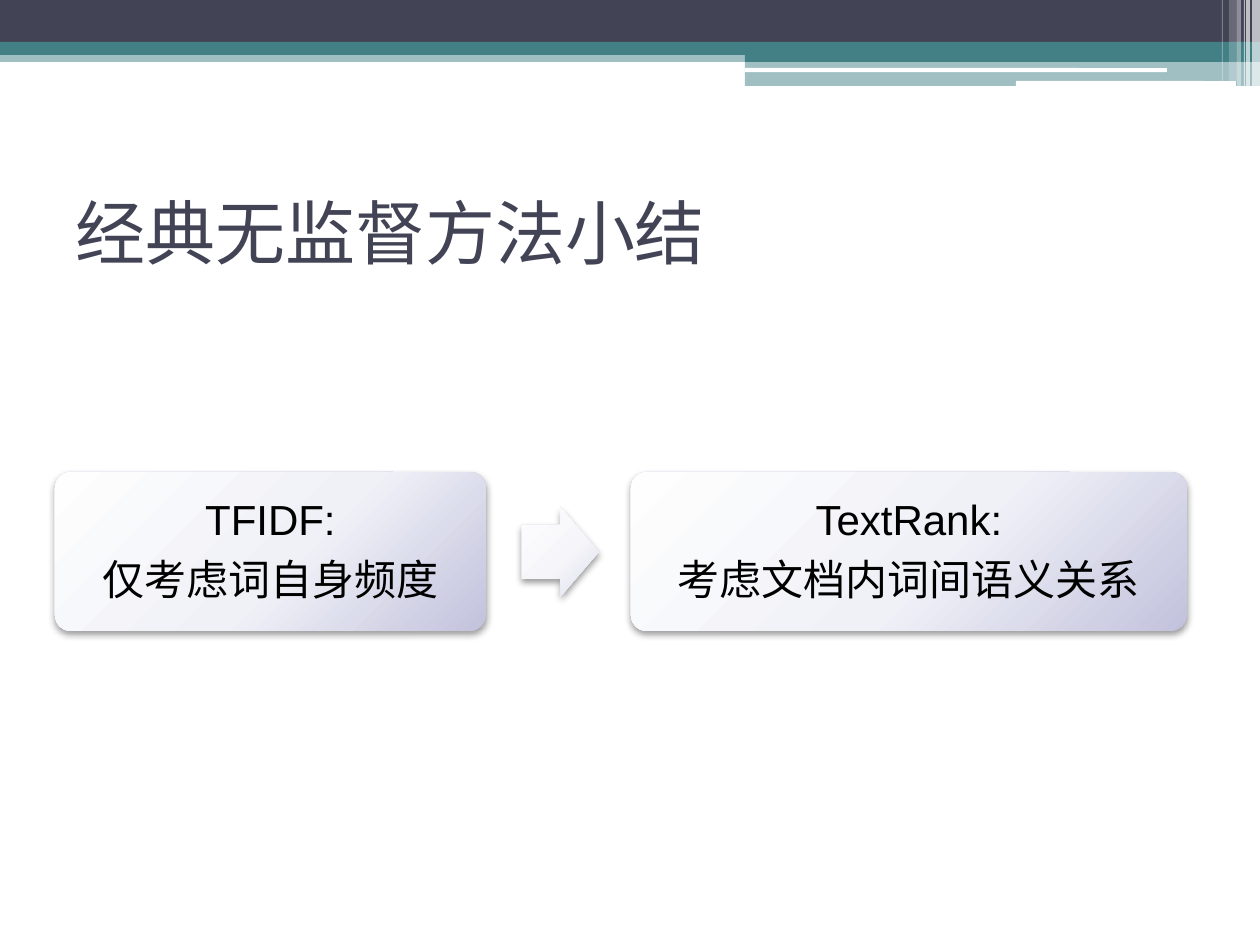
import lxml.etree
import pptx
import pptx.dml.color
import pptx.enum.shapes
import pptx.enum.text
import pptx.oxml
import pptx.oxml.ns
import pptx.util

EMU_PER_PX = 914400 / 126
NAMESPACE = 'xmlns:a="http://schemas.openxmlformats.org/drawingml/2006/main"'
SHAPES = pptx.enum.shapes.MSO_SHAPE
ALIGN = pptx.enum.text.PP_ALIGN
MIDDLE = pptx.enum.text.MSO_ANCHOR.MIDDLE

NAVY, TEAL, WHITE, BLACK = "424456", "438086", "FFFFFF", "000000"
BOX_GRADIENT = ((0, "FEFEFE"), (55, "F0F1F7"), (100, "C2C2DD"))
ARROW_GRADIENT = ((0, "FEFEFF"), (55, "F6F6FA"), (100, "DDDDEB"))


def px(length):
    return pptx.util.Emu(round(length * EMU_PER_PX))


def color(value):
    return pptx.dml.color.RGBColor.from_string(value)


def format_paragraph(paragraph, text, size, font, font_color, align):
    paragraph.alignment = align
    run = paragraph.add_run()
    run.text = text
    run.font.size = pptx.util.Pt(size)
    run.font.name = font
    run.font.color.rgb = color(font_color)


def set_space_after_percent(paragraph, percent):
    """Set the space after as a share of the text size."""
    paragraph.space_after = pptx.util.Pt(0)
    spacing = paragraph._p.pPr.find(pptx.oxml.ns.qn("a:spcAft"))
    spacing.clear()
    share = lxml.etree.SubElement(spacing, pptx.oxml.ns.qn("a:spcPct"))
    share.set("val", str(percent * 1000))


class SlideBuilder:
    title_font = "Karla"
    body_font = "Arial"

    def __init__(self, presentation):
        self.slide = presentation.slides.add_slide(presentation.slide_layouts[5])

    def title(self, text, left, top, width, height):
        shape = self.slide.shapes.title
        shape.left, shape.top = px(left), px(top)
        shape.width, shape.height = px(width), px(height)
        shape.text_frame.vertical_anchor = MIDDLE
        format_paragraph(shape.text_frame.paragraphs[0], text, size=40,
                         font=self.title_font, font_color=NAVY, align=ALIGN.LEFT)

    def shape(self, kind, left, top, width, height, fill=WHITE, opacity=100):
        shape = self.slide.shapes.add_shape(kind, px(left), px(top), px(width), px(height))
        shape.shadow.inherit = False
        shape.line.fill.background()
        shape.fill.solid()
        shape.fill.fore_color.rgb = color(fill)
        if opacity < 100:
            fill_color = shape._element.spPr.find(".//" + pptx.oxml.ns.qn("a:srgbClr"))
            alpha = lxml.etree.SubElement(fill_color, pptx.oxml.ns.qn("a:alpha"))
            alpha.set("val", str(opacity * 1000))
        return shape

    def raised_shape(self, kind, left, top, width, height, gradient, adjustments):
        """Add a shape with a radial gradient and a soft shadow below it."""
        shape = self.shape(kind, left, top, width, height)
        for index, value in enumerate(adjustments):
            shape.adjustments[index] = value
        stops = "".join(
            f'<a:gs pos="{position * 1000}"><a:srgbClr val="{value}"/></a:gs>'
            for position, value in gradient)
        gradient_fill = pptx.oxml.parse_xml(
            f'<a:gradFill {NAMESPACE} rotWithShape="1"><a:gsLst>{stops}</a:gsLst>'
            '<a:path path="circle"><a:fillToRect l="-40000" t="-90000" r="140000" b="190000"/>'
            '</a:path></a:gradFill>')
        shadow = pptx.oxml.parse_xml(
            f'<a:outerShdw {NAMESPACE} blurRad="52070" dist="25400" dir="5400000" '
            f'rotWithShape="0"><a:srgbClr val="{BLACK}"><a:alpha val="40000"/></a:srgbClr>'
            '</a:outerShdw>')
        properties = shape._element.spPr
        properties.replace(properties.find(pptx.oxml.ns.qn("a:solidFill")), gradient_fill)
        properties.find(pptx.oxml.ns.qn("a:effectLst")).append(shadow)
        return shape

    def method_box(self, lines, left, top, width, height):
        box = self.raised_shape(SHAPES.ROUNDED_RECTANGLE, left, top, width, height,
                                BOX_GRADIENT, [0.1])
        frame = box.text_frame
        frame.word_wrap = True
        frame.vertical_anchor = MIDDLE
        frame.margin_left = frame.margin_right = px(13)
        frame.margin_top = frame.margin_bottom = px(13)
        for index, line in enumerate(lines):
            paragraph = frame.add_paragraph() if index else frame.paragraphs[0]
            format_paragraph(paragraph, line, size=24, font=self.body_font,
                             font_color=BLACK, align=ALIGN.CENTER)
            paragraph.line_spacing = 0.9
            set_space_after_percent(paragraph, 35)

    def arrow(self, left, top, width, height):
        self.raised_shape(SHAPES.RIGHT_ARROW, left, top, width, height,
                          ARROW_GRADIENT, [0.6, 0.5])


def draw_header(builder):
    bars = [
        (0, 50, 1260, 12, TEAL, 50),
        (0, 0, 1260, 42, NAVY, 100),
        (0, 42, 1260, 13, TEAL, 100),
        (745, 49, 515, 13, TEAL, 100),
        (745, 62, 515, 24, TEAL, 50),
    ]
    for *bounds, fill, opacity in bars:
        builder.shape(SHAPES.RECTANGLE, *bounds, fill, opacity)
    for bounds in ((745, 68, 422, 4), (1016, 81, 220, 5)):
        builder.shape(SHAPES.ROUNDED_RECTANGLE, *bounds)
    strips = [
        (1252, 8, 86, 65), (1246, 4, 86, 65), (1244, 1, 86, 60),
        (1237, 4, 86, 40), (1229, 8, 81, 20), (1222, 1, 81, 30),
    ]
    for left, width, height, opacity in strips:
        builder.shape(SHAPES.RECTANGLE, left, 0, width, height, WHITE, opacity)


def main():
    presentation = pptx.Presentation()
    presentation.slide_width, presentation.slide_height = px(1260), px(945)
    builder = SlideBuilder(presentation)
    draw_header(builder)
    builder.title("经典无监督方法小结", 63, 158, 1134, 147)
    builder.method_box(["TFIDF:", "仅考虑词自身频度"], 55, 472, 431, 159)
    builder.arrow(522, 507, 77, 90)
    builder.method_box(["TextRank:", "考虑文档内词间语义关系"], 631, 472, 556, 159)
    presentation.save("out.pptx")


if __name__ == "__main__":
    main()
